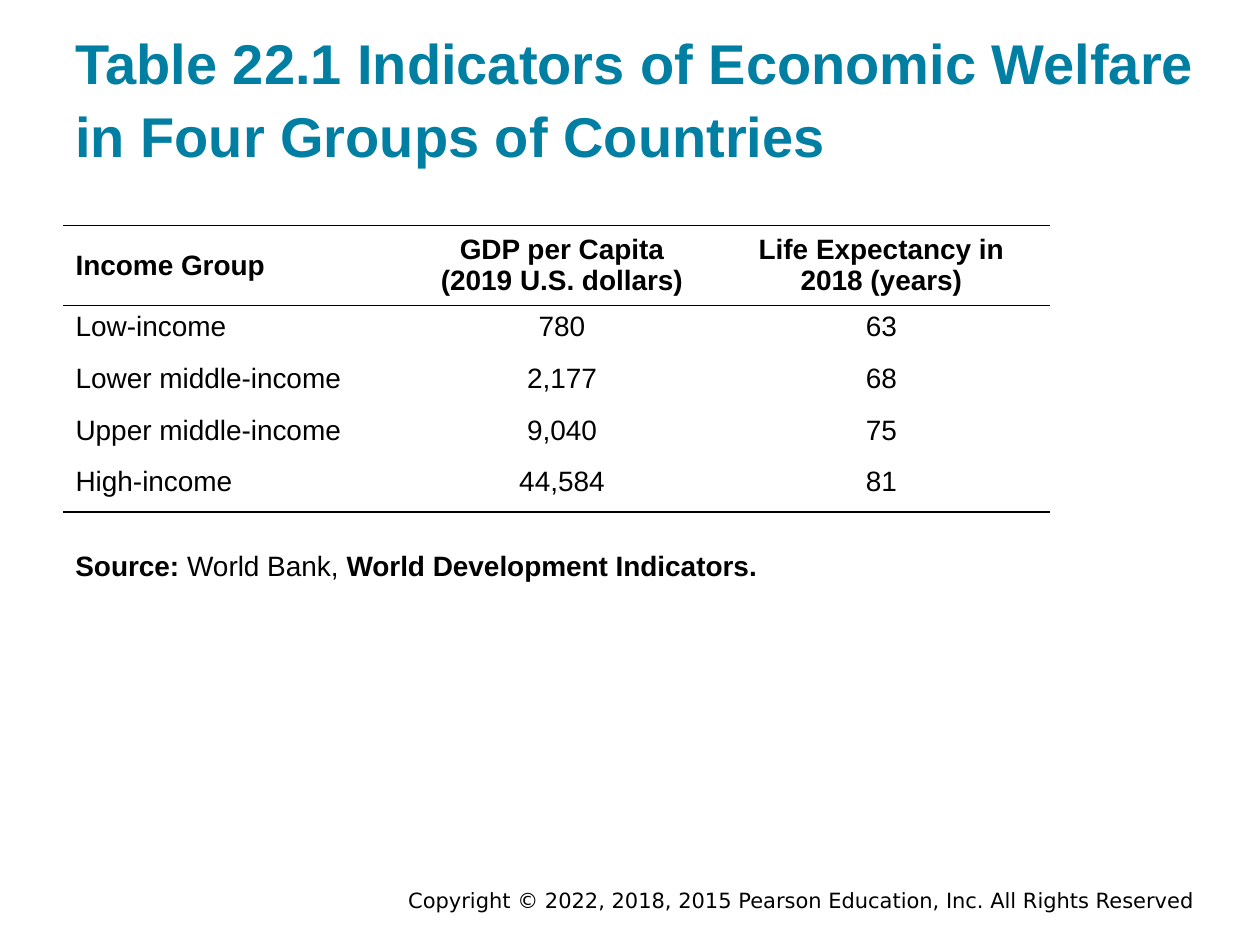
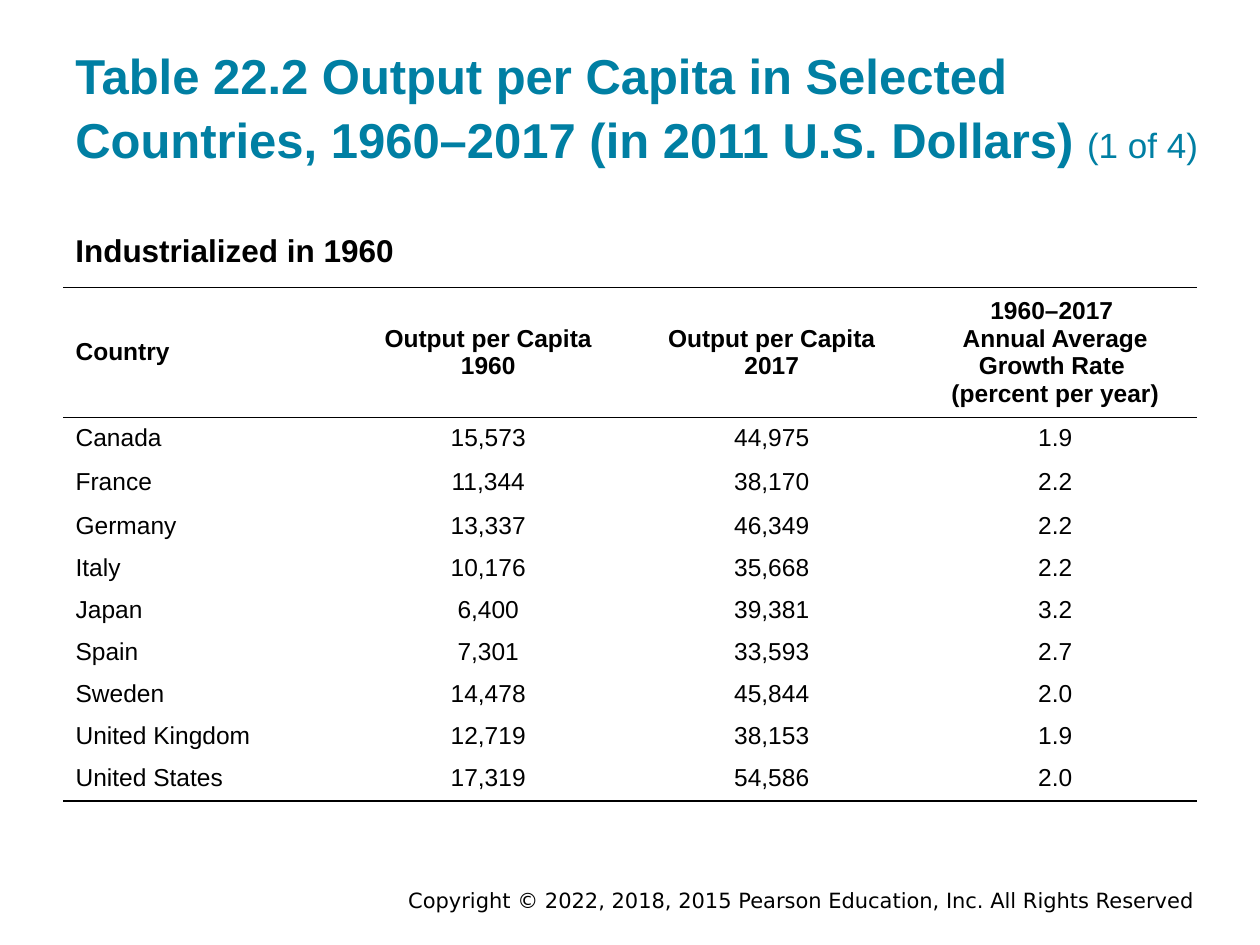
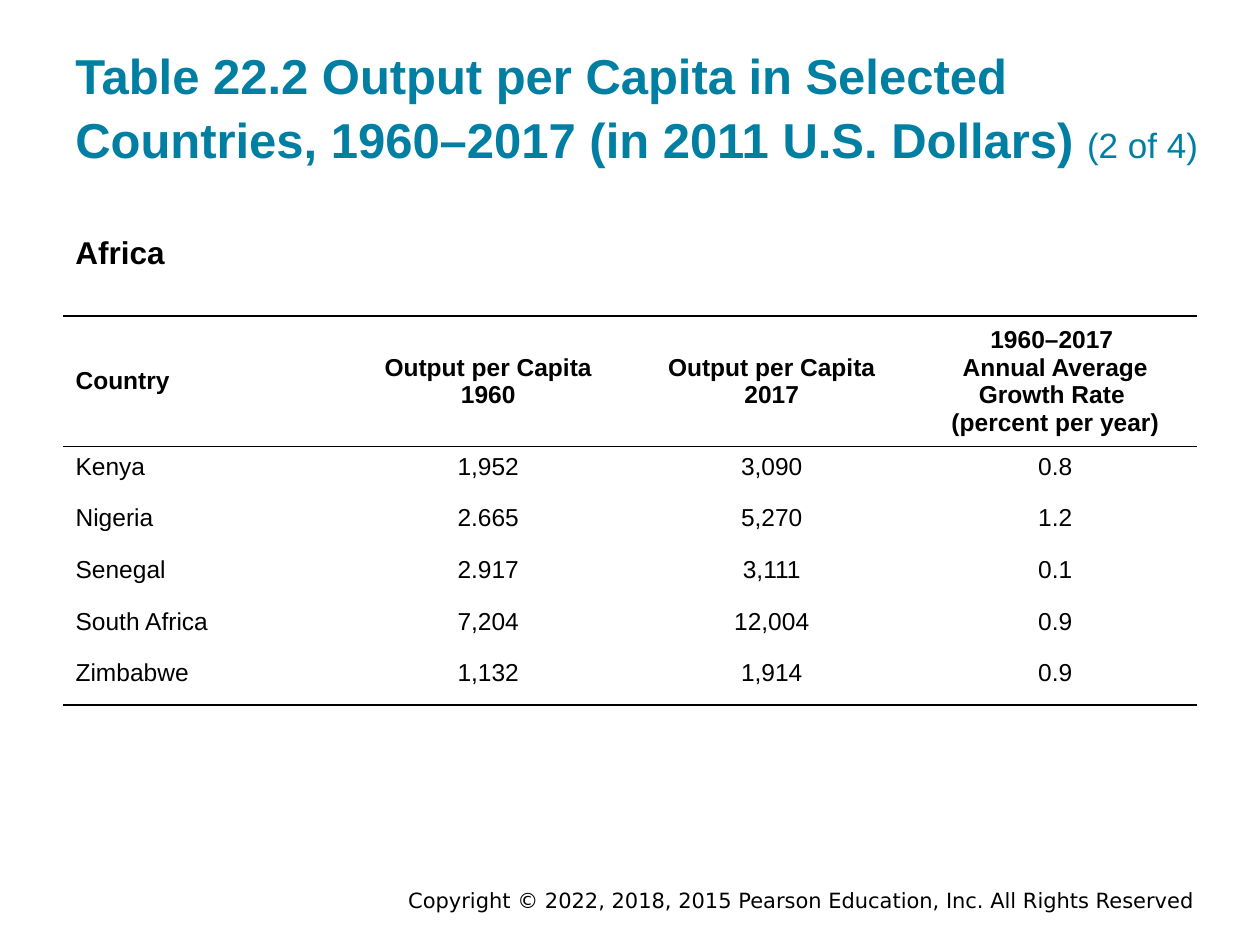
import dataclasses
import lxml.etree
import pptx
import pptx.dml.color
import pptx.enum.text
import pptx.oxml.ns
import pptx.util

Inches = pptx.util.Inches
Pt = pptx.util.Pt
Align = pptx.enum.text.PP_ALIGN
Anchor = pptx.enum.text.MSO_ANCHOR
qn = pptx.oxml.ns.qn


@dataclasses.dataclass(frozen=True)
class Theme:
    font: str = "Arial"
    small: str = "DejaVu Sans"
    teal: str = "007FA3"
    black: str = "000000"
    lead: float = 1.09
    rule: float = 1
    left: float = 0.5
    note: int = 12
    body: int = 16
    head: int = 18
    count: int = 20
    title: int = 28
    large: int = 32


class Deck:
    def __init__(self, theme):
        self.theme = theme
        self.deck = pptx.Presentation()
        self.deck.slide_width = Inches(10)
        self.deck.slide_height = Inches(7.5)
        self.slide = None

    def start(self):
        self.slide = self.deck.slides.add_slide(self.deck.slide_layouts[6])
        self.text((1.75, 7.03, 7.83, 0.22),
                  [("Copyright © 2022, 2018, 2015 Pearson Education, Inc. "
                    "All Rights Reserved", self.theme.note, False)],
                  font=self.theme.small, inset=0.05, anchor=Anchor.MIDDLE,
                  align=Align.RIGHT, lead=1)

    def style(self, run, size, bold, color=None, font=None):
        run.font.name = font or self.theme.font
        run.font.size = Pt(size)
        run.font.bold = bold
        run.font.color.rgb = pptx.dml.color.RGBColor.from_string(
            color or self.theme.black)

    def text(self, box, parts, color=None, font=None, inset=0.1,
             anchor=Anchor.TOP, align=Align.LEFT, lead=None):
        frame = self.slide.shapes.add_textbox(*map(Inches, box)).text_frame
        frame.word_wrap = True
        frame.vertical_anchor = anchor
        frame.margin_left = frame.margin_right = Inches(0.1)
        frame.margin_top = frame.margin_bottom = Inches(inset)
        para = frame.paragraphs[0]
        para.alignment = align
        para.line_spacing = lead or self.theme.lead
        for words, size, bold in parts:
            run = para.add_run()
            run.text = words
            self.style(run, size, bold, color, font)

    def title(self, words, size, count=""):
        parts = [(words, size, True)]
        if count:
            parts.append((count, self.theme.count, False))
        self.text((self.theme.left, 0.24, 9.24, 1.2), parts,
                  color=self.theme.teal, anchor=Anchor.BOTTOM)

    def label(self, top, words):
        self.text((self.theme.left, top, 9, 0.49),
                  [(words, self.theme.head, True)])

    def edge(self, cell, sides):
        props = cell._tc.get_or_add_tcPr()
        for side in "LRTB":
            line = lxml.etree.SubElement(props, qn(f"a:ln{side}"))
            if side not in sides:
                lxml.etree.SubElement(line, qn("a:noFill"))
                continue
            line.set("w", str(Pt(self.theme.rule)))
            fill = lxml.etree.SubElement(line, qn("a:solidFill"))
            lxml.etree.SubElement(fill, qn("a:srgbClr"), val=self.theme.black)

    def table(self, top, cols, highs, rows, size):
        grid = self.slide.shapes.add_table(
            len(rows), len(cols), Inches(self.theme.left), Inches(top),
            Inches(sum(cols)), Inches(sum(highs))).table
        grid.first_row = grid.horz_banding = False
        for col, wide in zip(grid.columns, cols):
            col.width = Inches(wide)
        for row, high in zip(grid.rows, highs):
            row.height = Inches(high)
        sides = {0: "TB", 1: "T", len(rows) - 1: "B"}
        for r, row in enumerate(rows):
            for c, words in enumerate(row):
                cell = grid.cell(r, c)
                self.edge(cell, sides.get(r, ""))
                cell.fill.background()
                cell.vertical_anchor = Anchor.TOP if r else Anchor.MIDDLE
                cell.text_frame.text = words
                for para in cell.text_frame.paragraphs:
                    para.alignment = Align.CENTER if c else Align.LEFT
                    for run in para.runs:
                        self.style(run, size, r == 0)


def output(deck, part, name, spot, top, highs, rows):
    deck.start()
    deck.title("Table 22.2 Output per Capita in Selected Countries, "
               "1960–2017 (in 2011 U.S. Dollars) ",
               deck.theme.title, f"({part} of 4)")
    deck.label(spot, name)
    head = ("Country", "Output per Capita 1960", "Output per Capita 2017",
            "1960–2017 \nAnnual Average Growth Rate \n(percent per year)")
    deck.table(top, [2.25] * 4, [0.97] + highs, [head] + rows, 14)


def main():
    theme = Theme()
    deck = Deck(theme)

    deck.start()
    deck.title("Table 22.1 Indicators of Economic Welfare in Four Groups "
               "of Countries", theme.large)
    deck.table(1.79, [2.76, 2.4, 2.67], [0.59] + [0.41] * 4, [
        ("Income Group", "GDP per Capita (2019 U.S. dollars)",
         "Life Expectancy in 2018 (years)"),
        ("Low-income", "780", "63"),
        ("Lower middle-income", "2,177", "68"),
        ("Upper middle-income", "9,040", "75"),
        ("High-income", "44,584", "81"),
    ], theme.body)
    deck.text((theme.left, 4.23, 5.69, 0.51), [
        ("Source: ", theme.body, True),
        ("World Bank, ", theme.body, False),
        ("World Development Indicators.", theme.body, True),
    ])

    output(deck, 1, "Industrialized in 1960", 1.71, 2.28,
           [0.35, 0.35, 0.32, 0.33, 0.33, 0.33, 0.32, 0.33, 0.34], [
               ("Canada", "15,573", "44,975", "1.9"),
               ("France", "11,344", "38,170", "2.2"),
               ("Germany", "13,337", "46,349", "2.2"),
               ("Italy", "10,176", "35,668", "2.2"),
               ("Japan", "6,400", "39,381", "3.2"),
               ("Spain", "7,301", "33,593", "2.7"),
               ("Sweden", "14,478", "45,844", "2.0"),
               ("United Kingdom", "12,719", "38,153", "1.9"),
               ("United States", "17,319", "54,586", "2.0"),
           ])

    output(deck, 2, "Africa", 1.72, 2.51, [0.41] * 5, [
        ("Kenya", "1,952", "3,090", "0.8"),
        ("Nigeria", "2.665", "5,270", "1.2"),
        ("Senegal", "2.917", "3,111", "0.1"),
        ("South Africa", "7,204", "12,004", "0.9"),
        ("Zimbabwe", "1,132", "1,914", "0.9"),
    ])

    deck.deck.save("out.pptx")


if __name__ == "__main__":
    main()
